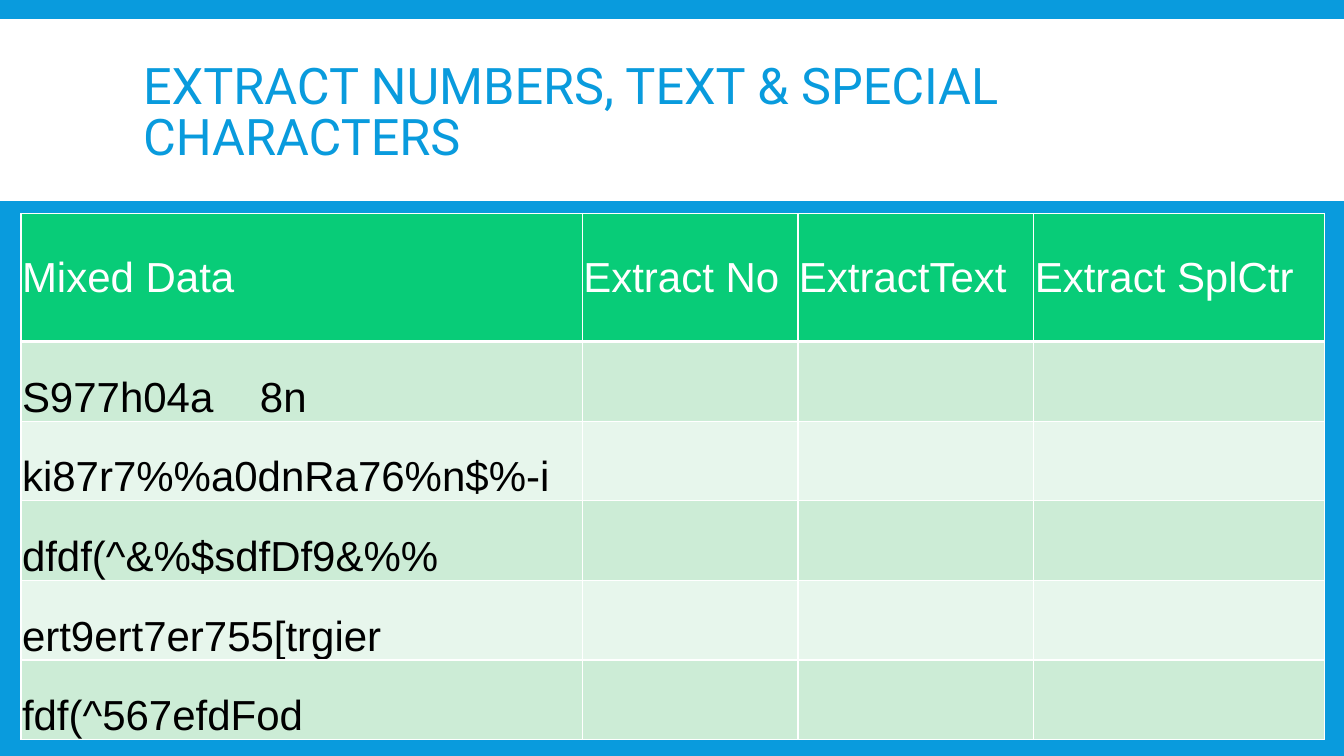
from dataclasses import dataclass

from lxml.etree import SubElement
from pptx import Presentation
from pptx.dml.color import RGBColor
from pptx.enum.shapes import MSO_SHAPE as Shape
from pptx.enum.text import MSO_ANCHOR as Anchor
from pptx.oxml.ns import qn
from pptx.util import Pt

BLUE, WHITE, BLACK = "099BDD", "FFFFFF", "000000"
GREEN, BANDS = "08CC78", ("CCECD6", "E7F6EC")
WIDE, HIGH = 960, 540


@dataclass
class Column:
    head: str
    width: float


COLUMNS = [
    Column("Mixed Data", 401),
    Column("Extract No", 154),
    Column("ExtractText", 168.5),
    Column("Extract SplCtr", 207.5),
]
DATA = [
    "S977h04a    8n",
    "ki87r7%%a0dnRa76%n$%-i",
    "dfdf(^&%$sdfDf9&%%",
    "ert9ert7er755[trgier",
    "fdf(^567efdFod",
]
HEAD_H, ROW_H = 91.4, 56.9


def paint(fill, color: str) -> None:
    fill.solid()
    fill.fore_color.rgb = RGBColor.from_string(color)


def write(frame, text: str, *, size: float, font: str, color: str,
          spacing: float = 1.0) -> None:
    para = frame.paragraphs[0]
    para.line_spacing = spacing
    run = para.add_run()
    run.text = text
    run.font.size, run.font.name, run.font.bold = Pt(size), font, False
    run.font.color.rgb = RGBColor.from_string(color)


def edge(cell, side: str, width: float, color: str = WHITE) -> None:
    props = cell._tc.get_or_add_tcPr()
    line = SubElement(props, qn(f"a:ln{side}"), w=str(Pt(width)))
    fill = SubElement(line, qn("a:solidFill"))
    SubElement(fill, qn("a:srgbClr"), val=color)


def style(cell, row: int) -> None:
    thick = {(0, "B"), (1, "T")}
    for side in "LRTB":
        edge(cell, side, 3 if (row, side) in thick else 1)
    paint(cell.fill, BANDS[(row - 1) % 2] if row else GREEN)
    cell.margin_left = cell.margin_right = cell.margin_top = Pt(0.75)
    cell.margin_bottom = Pt(0)
    cell.vertical_anchor = Anchor.BOTTOM if row else Anchor.MIDDLE


def add_title(slide) -> None:
    title = slide.shapes.title
    title.left, title.top = Pt(95), Pt(22.3)
    title.width, title.height = Pt(770.5), Pt(119)
    frame = title.text_frame
    frame.word_wrap = True
    frame.vertical_anchor = Anchor.MIDDLE
    write(frame, "EXTRACT NUMBERS, TEXT & SPECIAL CHARACTERS",
          size=36, font="Roboto", color=BLUE, spacing=0.85)
    frame.paragraphs[0].alignment = 1

    # White band behind the title
    band = slide.shapes.add_shape(
        Shape.RECTANGLE, Pt(0), Pt(13.7), Pt(WIDE), Pt(129.8))
    band.shadow.inherit = False
    paint(band.fill, WHITE)
    band.line.fill.background()
    title.element.addprevious(band.element)


def add_grid(slide) -> None:
    count = len(DATA) + 1
    frame = slide.shapes.add_table(
        count, len(COLUMNS), Pt(15), Pt(152.5),
        Pt(sum(col.width for col in COLUMNS)),
        Pt(HEAD_H + ROW_H * len(DATA)))
    table = frame.table
    for index, col in enumerate(COLUMNS):
        table.columns[index].width = Pt(col.width)
        write(table.cell(0, index).text_frame, col.head,
              size=30, font="Arial", color=WHITE)
    for index, text in enumerate(DATA, 1):
        write(table.cell(index, 0).text_frame, text,
              size=30, font="Arial", color=BLACK)
    for index, row in enumerate(table.rows):
        row.height = Pt(ROW_H if index else HEAD_H)
        for cell in row.cells:
            style(cell, index)


def main() -> None:
    deck = Presentation()
    deck.slide_width, deck.slide_height = Pt(WIDE), Pt(HIGH)
    slide = deck.slides.add_slide(deck.slide_layouts[5])
    paint(slide.background.fill, BLUE)
    add_title(slide)
    add_grid(slide)
    deck.save("out.pptx")


if __name__ == "__main__":
    main()
